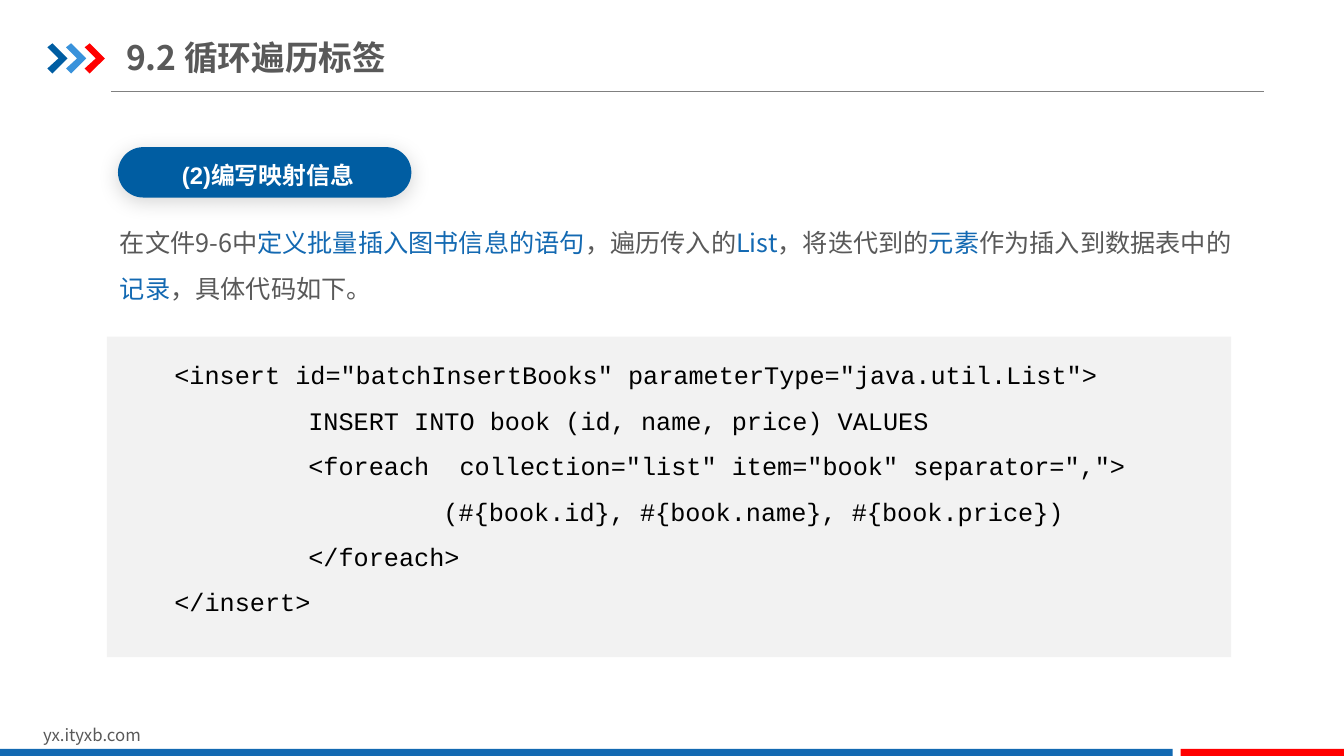
import pptx
import pptx.dml.color
import pptx.enum.shapes
import pptx.enum.text
import pptx.oxml
import pptx.oxml.ns
import pptx.util
from pptx.util import Inches

COLORS = {
    "navy": "005DA2", "sky": "3992DB", "red": "FF0000", "blue": "1369B2",
    "text": "595959", "rule": "808080", "panel": "F2F2F2",
    "white": "FFFFFF", "black": "000000",
}
HAN_FONT = "Noto Sans CJK SC"
SHAPES = pptx.enum.shapes.MSO_SHAPE
ALIGN = pptx.enum.text.PP_ALIGN
ANCHOR = pptx.enum.text.MSO_ANCHOR
NAMESPACE = pptx.oxml.ns.nsdecls("a")


def rgb(name):
    return pptx.dml.color.RGBColor.from_string(COLORS[name])


class SlideBuilder:
    def __init__(self, page):
        self.page = page

    def paint(self, shape, color):
        shape.fill.solid()
        shape.fill.fore_color.rgb = rgb(color)
        shape.line.fill.background()
        shape.shadow.inherit = False
        return shape

    def shape(self, kind, left, top, width, height, color):
        box = self.page.shapes.add_shape(
            kind, Inches(left), Inches(top), Inches(width), Inches(height))
        return self.paint(box, color)

    def pill(self, left, top, width, height, color):
        box = self.shape(SHAPES.ROUNDED_RECTANGLE, left, top, width, height, color)
        box.adjustments[0] = 0.5
        effects = box._element.spPr.find(pptx.oxml.ns.qn("a:effectLst"))
        effects.append(pptx.oxml.parse_xml(
            f'<a:outerShdw {NAMESPACE} blurRad="{pptx.util.Pt(15)}" '
            f'dist="{pptx.util.Pt(3)}" dir="5400000" algn="t" rotWithShape="0">'
            f'<a:srgbClr val="{COLORS["black"]}"><a:alpha val="17000"/></a:srgbClr>'
            '</a:outerShdw>'))

    def outline(self, left, top, points, color):
        corners = [(Inches(left + x), Inches(top + y)) for x, y in points]
        builder = self.page.shapes.build_freeform(*corners[0])
        builder.add_line_segments(corners[1:], close=True)
        self.paint(builder.convert_to_shape(), color)

    def rule(self, left, right, y, color):
        line = self.page.shapes.add_connector(
            pptx.enum.shapes.MSO_CONNECTOR.STRAIGHT,
            Inches(left), Inches(y), Inches(right), Inches(y))
        line.line.color.rgb = rgb(color)
        line.line.width = pptx.util.Pt(0.75)
        line._element.spPr.append(
            pptx.oxml.parse_xml(f"<a:effectLst {NAMESPACE}/>"))

    def text(self, left, top, width, height, paragraphs, size, font=HAN_FONT,
             bold=False, spacing=None, align=None, tabs=()):
        """Each paragraph is a list of (words, color) spans."""
        box = self.page.shapes.add_textbox(
            Inches(left), Inches(top), Inches(width), Inches(height))
        frame = box.text_frame
        frame.word_wrap = True
        for index, spans in enumerate(paragraphs):
            para = frame.add_paragraph() if index else frame.paragraphs[0]
            if tabs:
                stops = "".join(
                    f'<a:tab pos="{Inches(stop)}" algn="l"/>' for stop in tabs)
                para._p.get_or_add_pPr().append(pptx.oxml.parse_xml(
                    f"<a:tabLst {NAMESPACE}>{stops}</a:tabLst>"))
            para.line_spacing = spacing
            para.alignment = align
            for words, color in spans:
                span = para.add_run()
                span.text = words
                span.font.size = pptx.util.Pt(size)
                span.font.bold = bold
                span.font.name = font
                span.font.color.rgb = rgb(color)
                span._r.get_or_add_rPr().append(pptx.oxml.parse_xml(
                    f'<a:ea {NAMESPACE} typeface="{HAN_FONT}"/>'))
        return frame


def main():
    deck = pptx.Presentation()
    deck.slide_width, deck.slide_height = Inches(13.33), Inches(7.5)
    slide = SlideBuilder(deck.slides.add_slide(deck.slide_layouts[6]))

    # Header: rule, chevrons and title
    slide.rule(1.1, 12.54, 0.91, "rule")
    chevron = [(0, 0.04), (0.05, 0), (0.2, 0.15), (0.05, 0.3), (0, 0.25), (0.11, 0.15)]
    for index, color in enumerate(("navy", "sky", "red")):
        slide.outline(0.47 + index * 0.37 / 2, 0.43, chevron, color)
    title = slide.text(1.25, 0.29, 7.19, 0.55, [[("9.2 循环遍历标签", "text")]],
                       24, bold=True)
    title.margin_left = title.margin_right = 0
    title.margin_top = title.margin_bottom = Inches(0.07)
    title.vertical_anchor = ANCHOR.MIDDLE

    # Footer: address and colour bars
    slide.text(0.33, 7.14, 3.18, 0.3, [[("yx.ityxb.com", "text")]], 12)
    for left, width, color in ((0, 11.63, "blue"), (11.71, 1.63, "red")):
        slide.shape(SHAPES.RECTANGLE, left, 7.43, width, 0.09, color)

    # Step heading
    slide.pill(1.17, 1.46, 2.91, 0.5, "navy")
    slide.text(1.03, 1.45, 3.26, 0.6, [[("(2)编写映射信息", "white")]], 17,
               font="Arial", bold=True, spacing=1.35, align=ALIGN.CENTER)

    # Explanation with highlighted terms
    explanation = [
        ("在文件9-6中", "text"), ("定义批量插入图书信息的语句", "blue"),
        ("，遍历传入的", "text"), ("List", "blue"), ("，将迭代到的", "text"),
        ("元素", "blue"), ("作为插入到数据表中的", "text"),
        ("记录", "blue"), ("，具体代码如下。", "text"),
    ]
    slide.text(1.09, 2.06, 11.26, 1.01, [explanation], 18, spacing=1.5)

    # Code panel
    slide.shape(SHAPES.RECTANGLE, 1.06, 3.34, 11.15, 3.18, "panel")
    code = [
        '<insert id="batchInsertBooks" parameterType="java.util.List">',
        "\tINSERT INTO book (id, name, price) VALUES",
        '\t<foreach  collection="list" item="book" separator=",">',
        "\t\t(#{book.id}, #{book.name}, #{book.price})",
        "\t</foreach>",
        "</insert>",
    ]
    slide.text(1.63, 3.37, 10.82, 3.05, [[(line, "black")] for line in code], 18,
               font="Courier New", spacing=1.5, tabs=(1.33, 2.67))

    deck.save("out.pptx")


if __name__ == "__main__":
    main()
